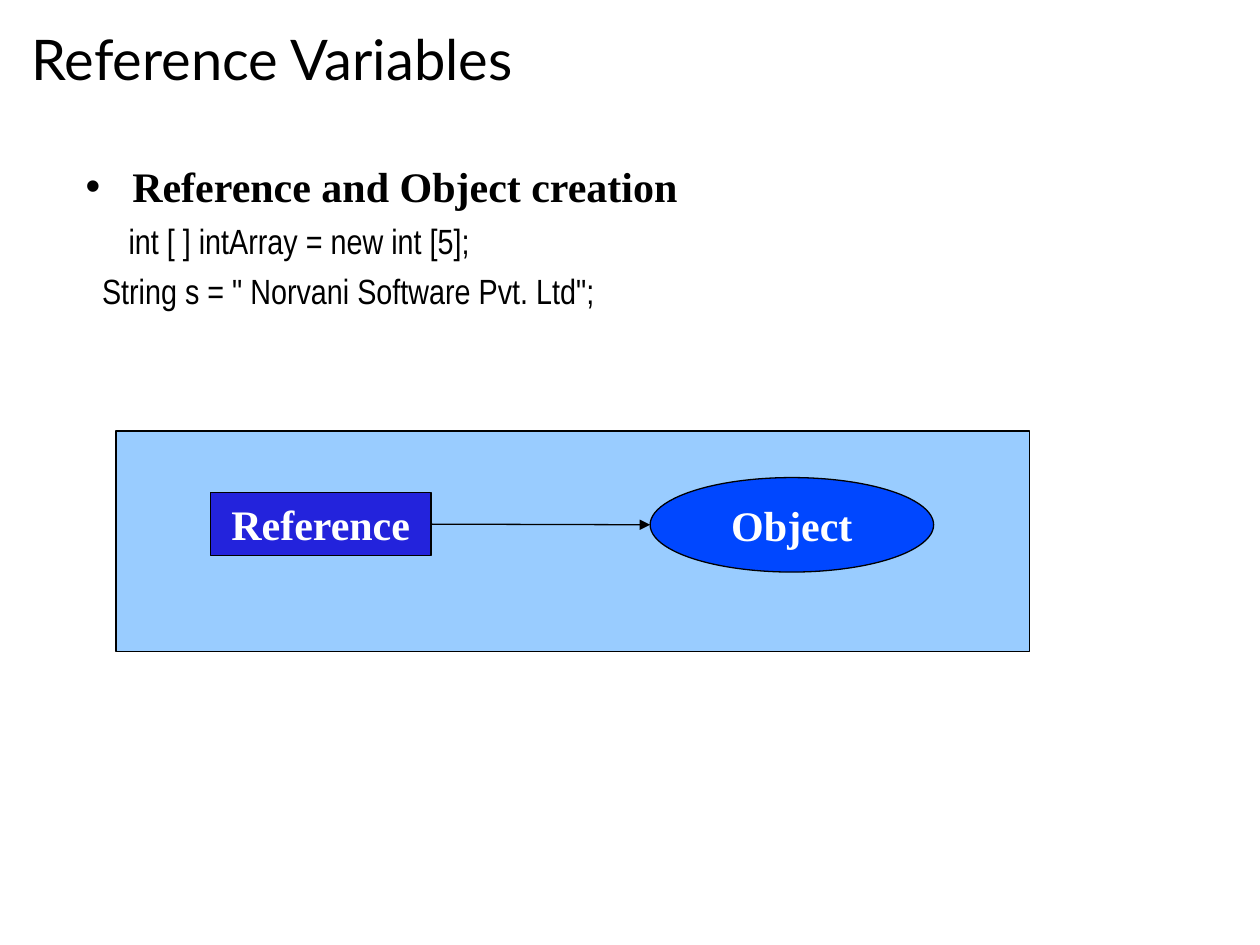
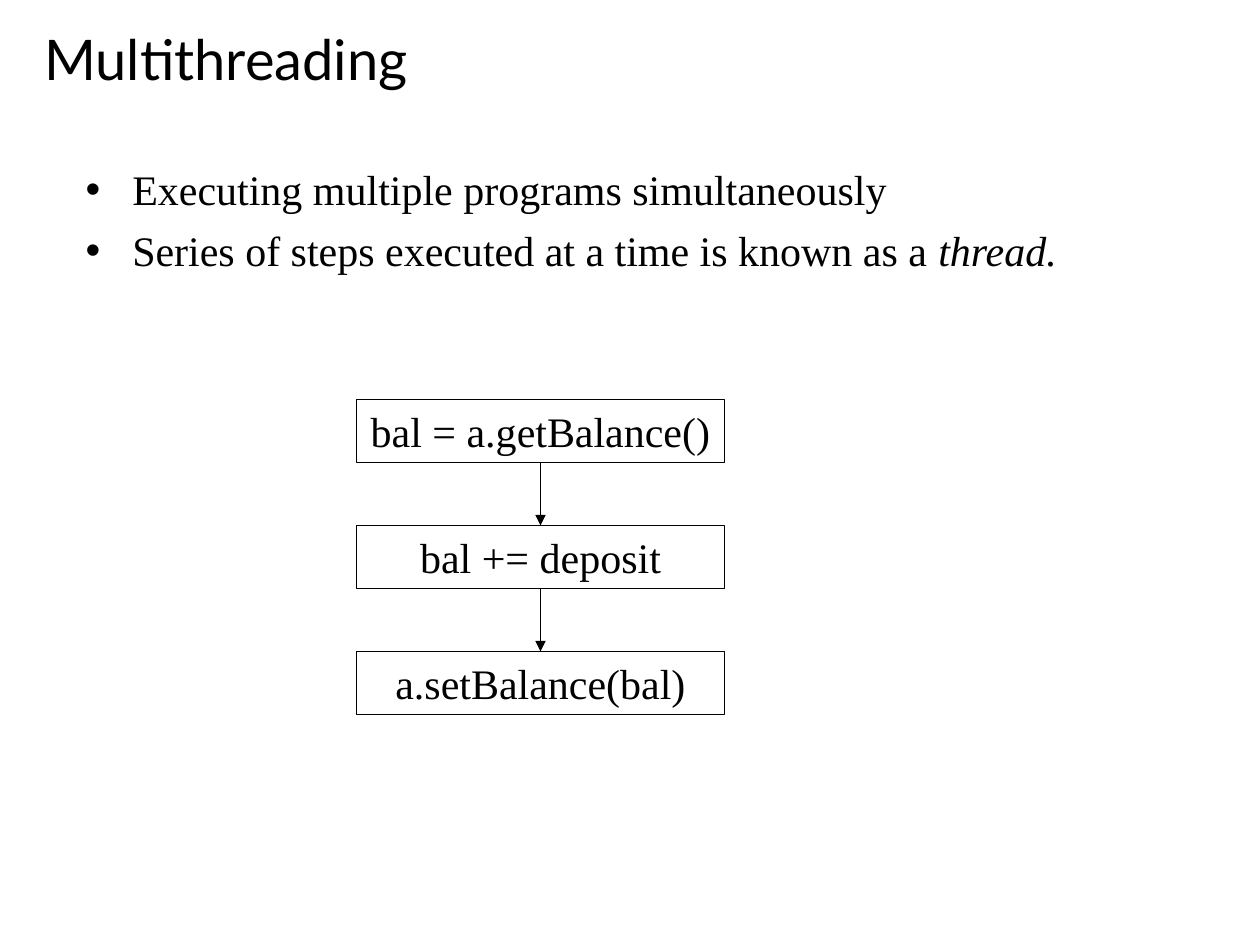
from pptx import Presentation
from pptx.dml.color import RGBColor
from pptx.enum.shapes import MSO_CONNECTOR as CONNECTOR, MSO_SHAPE as SHAPE
from pptx.enum.text import MSO_ANCHOR as ANCHOR, MSO_AUTO_SIZE as AUTO_SIZE, PP_ALIGN as ALIGN
from pptx.oxml.ns import qn
from pptx.util import Inches, Pt
from lxml.etree import SubElement

BLACK, WHITE = "000000", "FFFFFF"
PANEL_BLUE, REFERENCE_BLUE, OBJECT_BLUE = "99CCFF", "2323DC", "0047FF"
TOP, BOTTOM, RIGHT = 0, 2, 3  # connection sites of a rectangle


def color(hex_value):
    return RGBColor.from_string(hex_value)


def apply(target, values):
    for name, value in values.items():
        setattr(target, name, value)


class Deck:
    title_font = {"name": "Lato", "size": Pt(32)}
    text_font = {"name": "Times New Roman", "size": Pt(24)}
    code_font = {"name": "Arial Narrow", "size": Pt(20)}
    line_width = Pt(0.75)
    hanging = 0.37

    def __init__(self):
        self.prs = Presentation()
        self.prs.slide_width, self.prs.slide_height = Inches(10), Inches(7.5)
        self.slide = None

    def place(self, shape, left, top, width, height):
        apply(shape, {"left": Inches(left), "top": Inches(top),
                      "width": Inches(width), "height": Inches(height)})

    def add_run(self, paragraph, text, font, hex_value=BLACK, **extra):
        run = paragraph.add_run()
        run.text = text
        apply(run.font, {**font, **extra})
        run.font.color.rgb = color(hex_value)

    def new_slide(self, title, inset):
        self.slide = self.prs.slides.add_slide(self.prs.slide_layouts[1])
        heading = self.slide.shapes.title
        self.place(heading, 0.25, 0, 9.5, 0.92)
        apply(heading.text_frame, {"margin_left": Inches(inset), "word_wrap": True,
                                   "auto_size": AUTO_SIZE.NONE,
                                   "vertical_anchor": ANCHOR.MIDDLE})
        paragraph = heading.text_frame.paragraphs[0]
        paragraph.alignment = ALIGN.LEFT
        self.add_run(paragraph, title, self.title_font)

    def body(self, height, line_spacing):
        """Move the body placeholder and set the spacing of its list."""
        body = self.slide.placeholders[1]
        self.place(body, 0.58, 1.25, 8.83, height)
        apply(body.text_frame, {"word_wrap": True, "auto_size": AUTO_SIZE.NONE,
                                "vertical_anchor": ANCHOR.TOP})
        self.frame, self.line_spacing = body.text_frame, line_spacing

    def list_line(self, margin, indent):
        paragraph = self.frame.paragraphs[0]
        if paragraph.runs:
            paragraph = self.frame.add_paragraph()
        apply(paragraph, {"space_before": Pt(6), "line_spacing": self.line_spacing})
        properties = paragraph._p.get_or_add_pPr()
        properties.set("marL", str(Inches(margin)))
        properties.set("indent", str(Inches(indent)))
        return paragraph, properties

    def bullet(self, text, emphasis="", **extra):
        paragraph, properties = self.list_line(self.hanging, -self.hanging)
        SubElement(properties, qn("a:buChar"), char="•")
        self.add_run(paragraph, text, self.text_font, **extra)
        if emphasis:
            self.add_run(paragraph, emphasis, self.text_font, italic=True)

    def code_line(self, text, margin):
        paragraph, properties = self.list_line(margin, 0)
        SubElement(properties, qn("a:buNone"))
        self.add_run(paragraph, text, self.code_font)

    def box(self, kind, bounds, fill, text="", hex_value=BLACK, bold=False):
        shape = self.slide.shapes.add_shape(kind, *map(Inches, bounds))
        shape.shadow.inherit = False
        shape.fill.solid()
        shape.fill.fore_color.rgb = color(fill)
        shape.line.color.rgb = color(BLACK)
        shape.line.width = self.line_width
        if text:
            apply(shape.text_frame, {"word_wrap": False, "vertical_anchor": ANCHOR.MIDDLE})
            paragraph = shape.text_frame.paragraphs[0]
            paragraph.alignment = ALIGN.CENTER
            self.add_run(paragraph, text, self.text_font, hex_value, bold=bold)
        return shape

    def arrow(self, source, source_site, end, target=None, target_site=TOP):
        """Draw an arrow from a box to a point, or to a joined box."""
        link = self.slide.shapes.add_connector(
            CONNECTOR.STRAIGHT, source.left, source.top, *end)
        link.begin_connect(source, source_site)
        if target is not None:
            link.end_connect(target, target_site)
        link.line.color.rgb = color(BLACK)
        link.line.width = self.line_width
        SubElement(link.line._get_or_add_ln(), qn("a:tailEnd"), type="triangle")
        SubElement(link._element.spPr, qn("a:effectLst"))


def reference_variables(deck):
    deck.new_slide("Reference Variables", inset=0)

    # Declarations
    deck.body(5.75, 0.95)
    deck.bullet("Reference and Object creation", bold=True)
    deck.code_line("int [ ] intArray = new int [5];", 0.34)
    deck.code_line('String s = " Norvani Software Pvt. Ltd";', 0.13)

    # Reference pointing at its object
    deck.box(SHAPE.RECTANGLE, (0.92, 3.42, 7.25, 1.75), PANEL_BLUE)
    target_object = deck.box(SHAPE.OVAL, (5.16, 3.79, 2.25, 0.75), OBJECT_BLUE,
                             "Object", WHITE, bold=True)
    reference = deck.box(SHAPE.RECTANGLE, (1.67, 3.91, 1.75, 0.5), REFERENCE_BLUE,
                         "Reference", WHITE, bold=True)
    object_left = (target_object.left, target_object.top + target_object.height // 2)
    deck.arrow(reference, RIGHT, object_left)


def multithreading(deck):
    deck.new_slide("Multithreading", inset=0.1)

    # Definition
    deck.body(1.32, 1.0)
    deck.bullet("Executing multiple programs simultaneously")
    deck.bullet("Series of steps executed at a time is known as a ", "thread.")

    # Steps of the thread, one inch apart
    statements = ("bal = a.getBalance()", "bal += deposit", "a.setBalance(bal)")
    steps = [deck.box(SHAPE.RECTANGLE, (2.83, 3.17 + row, 2.92, 0.5), WHITE, statement)
             for row, statement in enumerate(statements)]
    for step, following in zip(steps, steps[1:]):
        deck.arrow(step, BOTTOM, (following.left, following.top), following)


def main():
    deck = Deck()
    reference_variables(deck)
    multithreading(deck)
    deck.prs.save("out.pptx")


if __name__ == "__main__":
    main()
